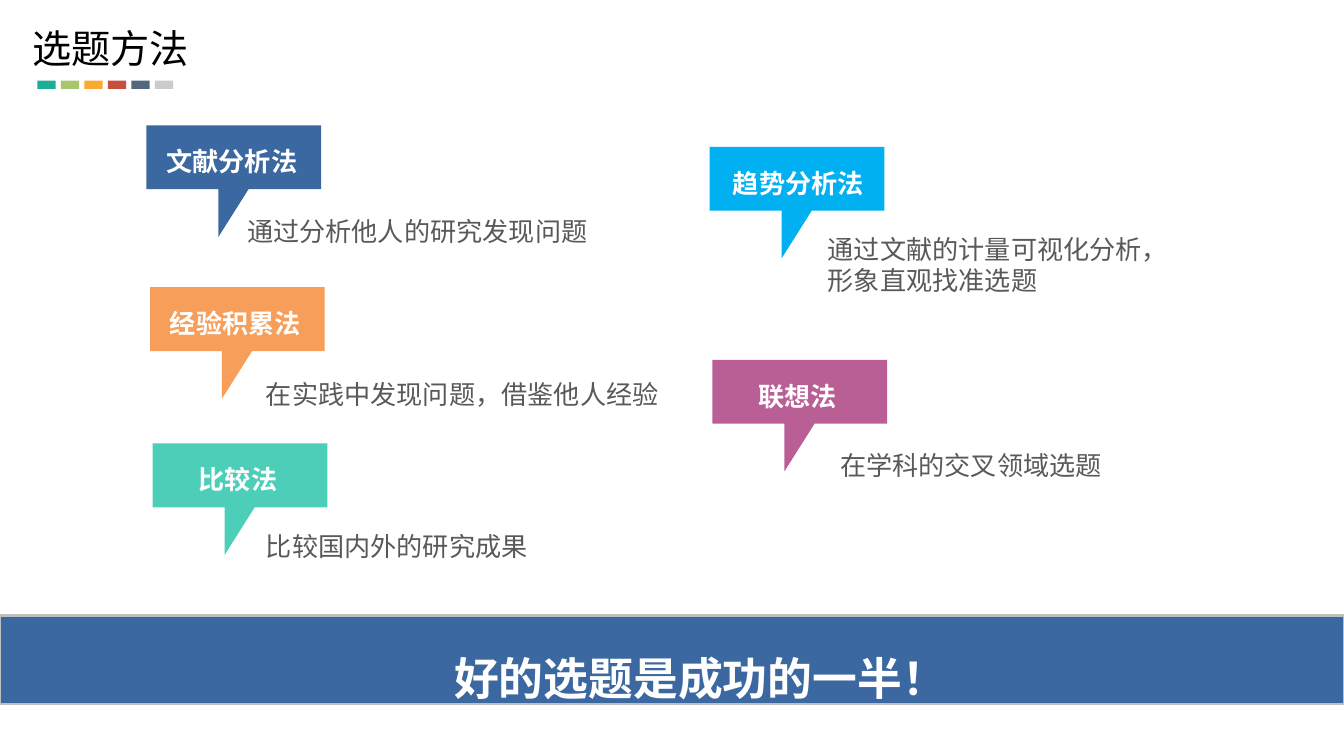
from dataclasses import dataclass

import lxml.etree
import pptx
import pptx.dml.color
import pptx.enum.shapes
import pptx.enum.text
import pptx.oxml.ns
import pptx.util

Pt = pptx.util.Pt
ALIGN = pptx.enum.text.PP_ALIGN
FONT_NAME = "Noto Sans CJK SC"
COLOURS = {
    "blue": "3B68A1", "orange": "F79E5A", "mint": "4DCEB8",
    "sky": "00B0F0", "purple": "B95F95", "white": "FFFFFF",
    "black": "000000", "body": "595959", "border": "BFBFBF",
    "swatch_1": "1CAE97", "swatch_2": "AAC66D", "swatch_3": "F8AA32",
    "swatch_4": "C84F3E", "swatch_5": "54687D", "swatch_6": "C9CCCB",
}
# Speech bubble outline, relative to its top left corner
BUBBLE_OUTLINE = [(0, 0), (93.6, 0), (93.6, 34.2), (54.7, 34.2),
                  (38.5, 59.8), (38.5, 34.2), (0, 34.2)]


@dataclass
class Box:
    left: float
    top: float
    width: float
    height: float


@dataclass
class TextStyle:
    size: float
    colour: str
    line_height: float
    bold: bool = False
    alignment: ALIGN = ALIGN.LEFT
    inset: float = 0


@dataclass
class Method:
    name: str
    colour: str
    left: float
    top: float
    description: str
    description_box: Box
    label_shift: float = -1.8


TITLE = TextStyle(21, "black", 25.5, inset=3.6)
LABEL = TextStyle(14, "white", 17, True, ALIGN.CENTER)
BODY = TextStyle(14, "body", 17)
SLOGAN = TextStyle(24, "white", 45, True, ALIGN.JUSTIFY, 3.6)

METHODS = [
    Method("文献分析法", "blue", 78.5, 67.2, "通过分析他人的研究发现问题",
           Box(127.4, 115.2, 212.4, 27.4)),
    Method("经验积累法", "orange", 80.4, 153.9, "在实践中发现问题，借鉴他人经验",
           Box(137.5, 202.3, 235.4, 29.5)),
    Method("比较法", "mint", 81.8, 237.6, "比较国内外的研究成果",
           Box(137.5, 283.7, 165.6, 29.5)),
    Method("趋势分析法", "sky", 380.2, 78.7, "通过文献的计量可视化分析，形象直观找准选题",
           Box(438.5, 124.6, 196.6, 48.2), 0),
    Method("联想法", "purple", 381.7, 192.8, "在学科的交叉领域选题",
           Box(445, 240.5, 164.2, 29.5)),
]


def rgb(colour: str) -> pptx.dml.color.RGBColor:
    return pptx.dml.color.RGBColor.from_string(COLOURS[colour])


def paint(shape, colour: str) -> None:
    shape.shadow.inherit = False
    shape.fill.solid()
    shape.fill.fore_color.rgb = rgb(colour)
    shape.line.fill.background()


def add_rectangle(slide, box: Box, colour: str):
    shape = slide.shapes.add_shape(
        pptx.enum.shapes.MSO_SHAPE.RECTANGLE,
        Pt(box.left), Pt(box.top), Pt(box.width), Pt(box.height))
    paint(shape, colour)
    return shape


def add_text(slide, box: Box, text: str, style: TextStyle) -> None:
    shape = slide.shapes.add_textbox(
        Pt(box.left), Pt(box.top), Pt(box.width), Pt(box.height))
    frame_format = {
        "word_wrap": True,
        "vertical_anchor": pptx.enum.text.MSO_ANCHOR.TOP,
        "margin_left": Pt(5), "margin_right": Pt(5),
        "margin_top": Pt(style.inset), "margin_bottom": Pt(style.inset),
    }
    for name, value in frame_format.items():
        setattr(shape.text_frame, name, value)
    paragraph = shape.text_frame.paragraphs[0]
    paragraph.alignment = style.alignment
    paragraph.line_spacing = Pt(style.line_height)
    run = paragraph.add_run()
    run.text = text
    font_format = {"name": FONT_NAME, "size": Pt(style.size), "bold": style.bold}
    for name, value in font_format.items():
        setattr(run.font, name, value)
    run.font.color.rgb = rgb(style.colour)
    # Chinese characters take the East Asian typeface
    lxml.etree.SubElement(run._r.get_or_add_rPr(), pptx.oxml.ns.qn("a:ea"),
                          typeface=FONT_NAME)


def add_method(slide, method: Method) -> None:
    points = [(Pt(method.left + x), Pt(method.top + y)) for x, y in BUBBLE_OUTLINE]
    builder = slide.shapes.build_freeform(*points[0])
    builder.add_line_segments(points[1:], close=True)
    paint(builder.convert_to_shape(), method.colour)
    label_box = Box(method.left + method.label_shift, method.top + 10.6, 95, 15.1)
    add_text(slide, label_box, method.name, LABEL)
    add_text(slide, method.description_box, method.description, BODY)


def main() -> None:
    presentation = pptx.Presentation()
    presentation.slide_width, presentation.slide_height = Pt(720), Pt(405)
    slide = presentation.slides.add_slide(presentation.slide_layouts[6])

    # Title with its row of swatches
    add_text(slide, Box(12.2, 9.4, 291.6, 31), "选题方法", TITLE)
    for index in range(6):
        add_rectangle(slide, Box(20 + 12.6 * index, 43.2, 9.8, 4.5),
                      f"swatch_{index + 1}")

    # Topic selection methods
    for method in METHODS:
        add_method(slide, method)

    # Bottom banner
    banner = add_rectangle(slide, Box(0, 329.8, 720, 47.2), "blue")
    banner.line.color.rgb = rgb("border")
    banner.line.width = Pt(1.25)
    add_text(slide, Box(238.3, 329, 327.6, 49), "好的选题是成功的一半！", SLOGAN)

    presentation.save("out.pptx")


if __name__ == "__main__":
    main()
